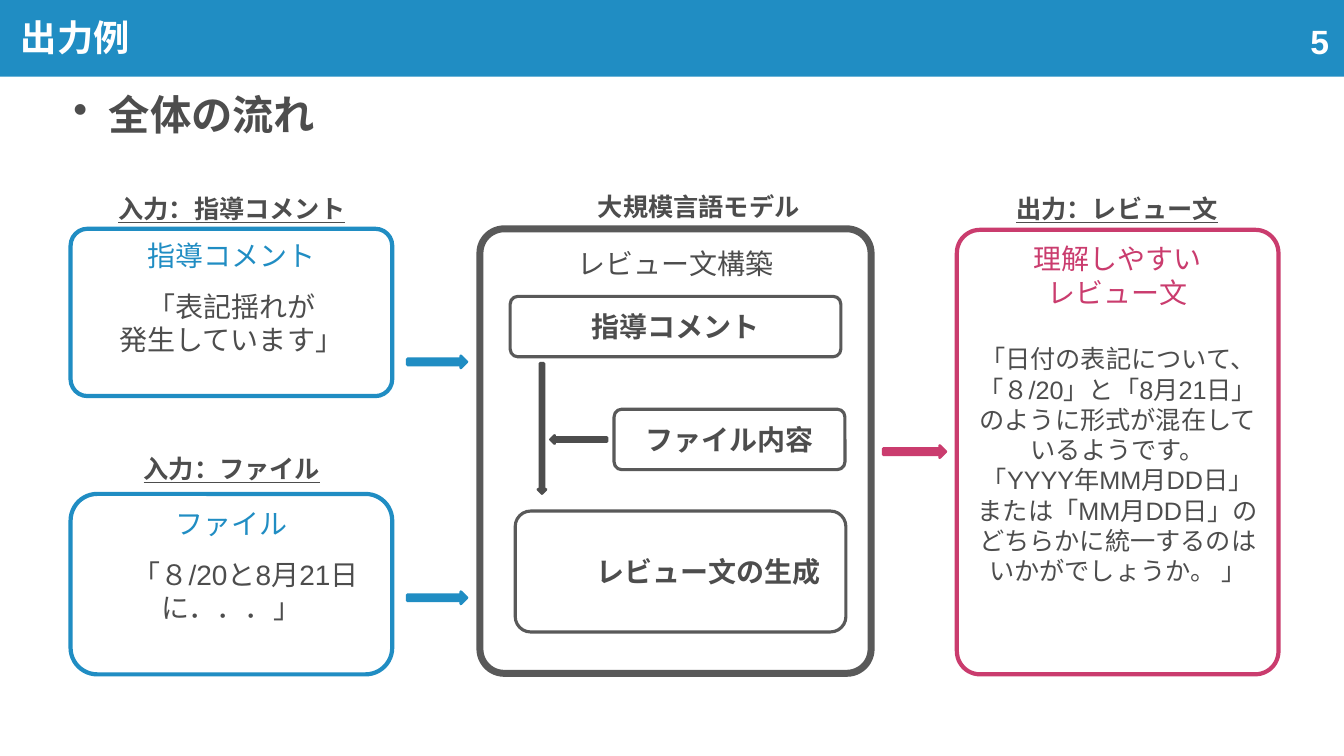
from dataclasses import dataclass

from lxml import etree
from pptx import Presentation
from pptx import util as u
from pptx.dml.color import RGBColor
from pptx.enum import shapes, text
from pptx.oxml.ns import qn


@dataclass(frozen=True)
class Theme:
    blue: str = "208DC3"
    pink: str = "CA3C6E"
    ink: str = "4D4D4D"
    frame: str = "595959"
    white: str = "FFFFFF"
    font: str = "Arial"
    heading_font: str = "Noto Sans CJK JP"
    bullet_size: float = 29.5
    title_size: float = 25.9
    number_size: float = 24
    body_size: float = 20
    label_size: float = 18


@dataclass
class Line:
    """One paragraph of text with its look."""
    words: str
    color: str
    size: float
    bold: bool = False
    underline: bool = False
    before: float = 0
    font: str = Theme.font


CENTER, LEFT, RIGHT = text.PP_ALIGN.CENTER, text.PP_ALIGN.LEFT, text.PP_ALIGN.RIGHT
TOP, MIDDLE = text.MSO_ANCHOR.TOP, text.MSO_ANCHOR.MIDDLE


class FlowSlide:
    def __init__(self, deck, theme):
        self.theme = theme
        self.page = deck.slides.add_slide(deck.slide_layouts[6])

    def set_text(self, shape, lines, align=CENTER, anchor=TOP, wrap=True, bullet=False):
        frame = shape.text_frame
        frame.word_wrap = wrap
        frame.vertical_anchor = anchor
        for index, line in enumerate(lines):
            para = frame.add_paragraph() if index else frame.paragraphs[0]
            para.text = line.words.replace("\n", "\v")
            para.alignment = align
            if line.before:
                para.space_before = u.Pt(line.before)
            if bullet:
                props = para._p.get_or_add_pPr()
                indent = u.Inches(0.35)
                props.set("marL", str(indent))
                props.set("indent", str(-indent))
                etree.SubElement(props, qn("a:buChar"), char="•")
            font = para.font
            font.name, font.size = line.font, u.Pt(line.size)
            font.bold, font.underline = line.bold, line.underline
            font.color.rgb = RGBColor.from_string(line.color)

    def shape(self, kind, area, fill=None, line=None, weight=0):
        shape = self.page.shapes.add_shape(kind, *map(u.Inches, area))
        shape.shadow.inherit = False
        if fill:
            shape.fill.solid()
            shape.fill.fore_color.rgb = RGBColor.from_string(fill)
        else:
            shape.fill.background()
        if line:
            shape.line.color.rgb = RGBColor.from_string(line)
            shape.line.width = u.Pt(weight)
        else:
            shape.line.fill.background()
        return shape

    def text_box(self, area, line, **layout):
        box = self.page.shapes.add_textbox(*map(u.Inches, area))
        self.set_text(box, [line], **layout)

    def label(self, center, top, words, underline=True):
        line = Line(words, self.theme.ink, self.theme.label_size, True, underline)
        self.text_box((center - 1.25, top, 2.5, 0.4), line, wrap=False)

    def panel(self, area, radius, color, weight, lines, fill=None, inset=0.05):
        panel = self.shape(shapes.MSO_SHAPE.ROUNDED_RECTANGLE, area, fill, color, weight)
        panel.adjustments[0] = radius
        panel.text_frame.margin_top = u.Inches(inset)
        self.set_text(panel, lines)

    def step(self, area, words, inset=0.1):
        theme = self.theme
        step = self.shape(shapes.MSO_SHAPE.ROUNDED_RECTANGLE, area,
                          theme.white, theme.frame, 2.25)
        step.adjustments[0] = 0.128
        step.text_frame.margin_left = u.Inches(inset)
        self.set_text(step, [Line(words, theme.ink, theme.body_size, True)], anchor=MIDDLE)

    def arrow(self, area, color, rotation=0):
        arrow = self.shape(shapes.MSO_SHAPE.RIGHT_ARROW, area, color, color, 2)
        arrow.rotation = rotation


def main():
    theme = Theme()
    deck = Presentation()
    deck.slide_width, deck.slide_height = u.Inches(13.33), u.Inches(7.5)
    slide = FlowSlide(deck, theme)

    # Header bar, title and page number
    slide.shape(shapes.MSO_SHAPE.RECTANGLE, (0, 0, 13.33, 0.76), theme.blue)
    slide.text_box((0.11, 0.05, 9.9, 0.64),
                   Line("出力例", theme.white, theme.title_size, True,
                        font=theme.heading_font), align=LEFT, anchor=MIDDLE)
    slide.text_box((10.17, 0.31, 3.11, 0.2),
                   Line("5", theme.white, theme.number_size, True),
                   align=RIGHT, anchor=MIDDLE)
    slide.text_box((0.63, 0.84, 12, 0.85),
                   Line("全体の流れ", theme.ink, theme.bullet_size, True,
                        font=theme.heading_font), align=LEFT, bullet=True)

    # Inputs: label, panel and arrow into the model
    inputs = [
        ("入力：指導コメント", 1.87, 2.27, 1.66, 0.101, 3.53,
         "指導コメント", "「表記揺れが\n発生しています」"),
        ("入力：ファイル", 4.45, 4.9, 1.79, 0.148, 5.87,
         "ファイル", "　「８/20と8月21日に．．．」"),
    ]
    for label, label_top, top, height, radius, arrow_top, heading, sample in inputs:
        slide.label(2.3, label_top, label)
        slide.panel((0.7, top, 3.19, height), radius, theme.blue, 3, [
            Line(heading, theme.blue, theme.body_size),
            Line(sample, theme.ink, theme.body_size, before=12)])
        slide.arrow((4.04, arrow_top, 0.59, 0.12), theme.blue)

    # Language model and its inner steps
    slide.label(6.93, 1.85, "大規模言語モデル", underline=False)
    slide.panel((4.76, 2.27, 3.88, 4.41), 0.062, theme.frame, 5,
                [Line("レビュー文構築", theme.ink, theme.body_size)],
                fill=theme.white, inset=0.11)
    slide.step((5.06, 2.94, 3.28, 0.6), "指導コメント")
    slide.step((6.09, 4.06, 2.29, 0.6), "ファイル内容")
    slide.step((5.11, 5.07, 3.28, 1.2), "レビュー文の生成", inset=0.66)
    slide.arrow((4.73, 4.21, 1.29, 0.08), theme.ink, 90)
    slide.arrow((5.46, 4.32, 0.56, 0.08), theme.ink, 180)

    # Output
    slide.arrow((8.76, 4.42, 0.62, 0.12), theme.pink)
    slide.label(11.08, 1.87, "出力：レビュー文")
    review = ("「日付の表記について、「８/20」と「8月21日」のように形式が混在しているようです。\n"
              "「YYYY年MM月DD日」または「MM月DD日」のどちらかに統一するのはいかがでしょうか。 」")
    slide.panel((9.49, 2.28, 3.19, 4.41), 0.072, theme.pink, 3, [
        Line("理解しやすい\nレビュー文", theme.pink, theme.body_size),
        Line(review, theme.ink, theme.label_size, before=25)])

    deck.save("out.pptx")


if __name__ == "__main__":
    main()
